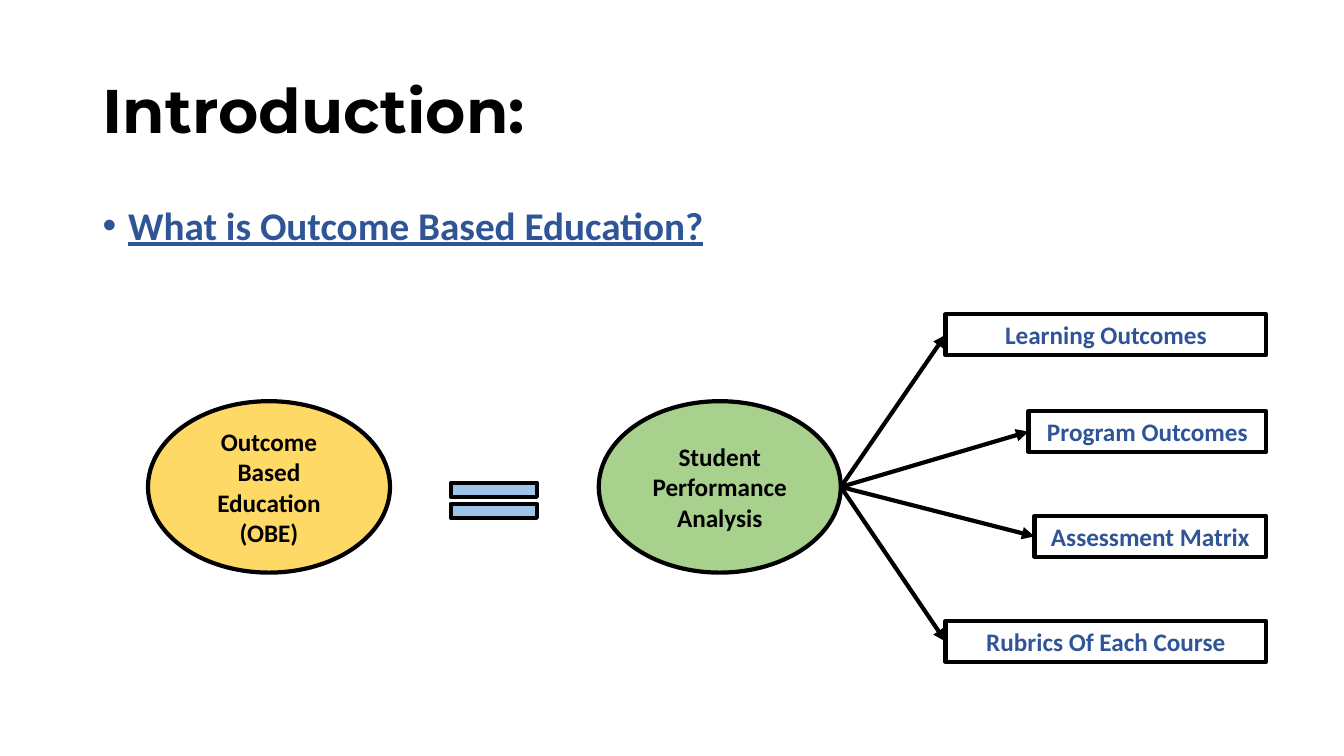
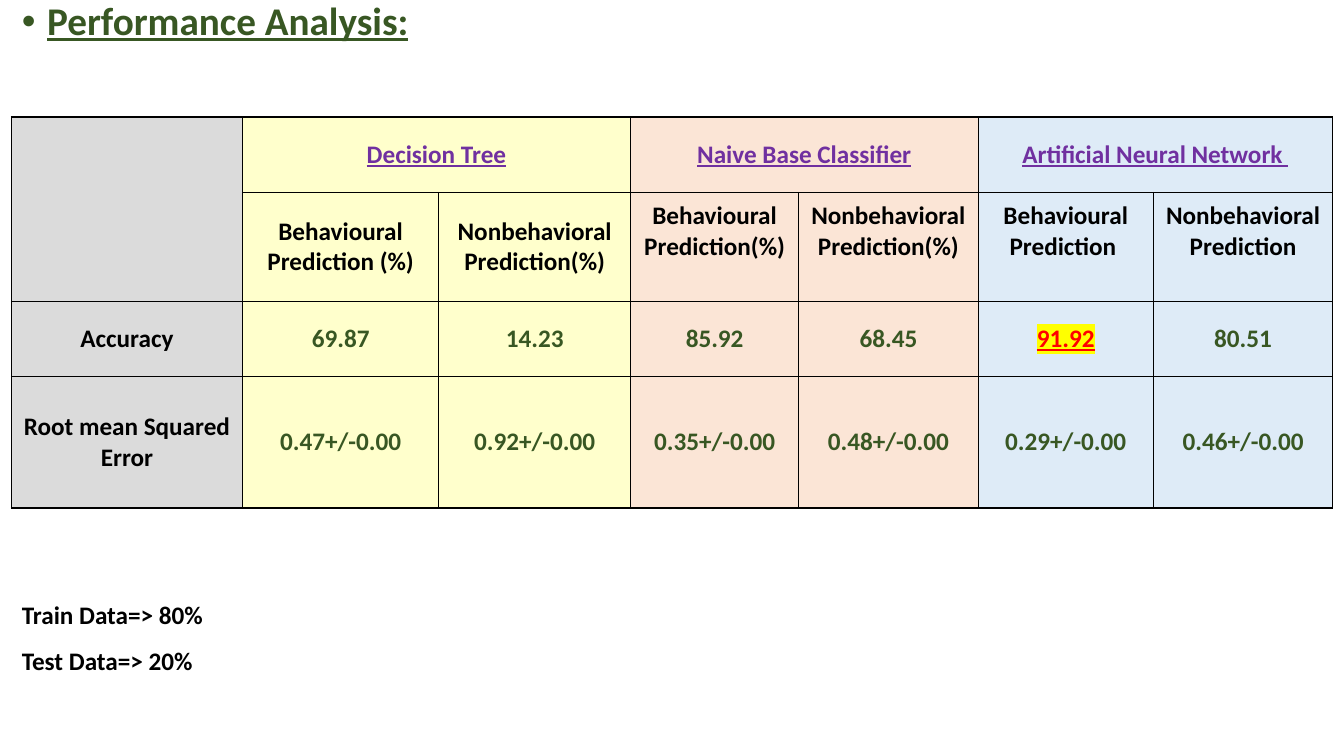
import pptx
import pptx.dml.color
import pptx.enum.shapes
import pptx.enum.text
import pptx.oxml.ns
import pptx.util
from dataclasses import dataclass
from lxml import etree

Cm = pptx.util.Cm
Pt = pptx.util.Pt
SHAPE = pptx.enum.shapes.MSO_SHAPE
ALIGN = pptx.enum.text.PP_ALIGN
ANCHOR = pptx.enum.text.MSO_ANCHOR


@dataclass(frozen=True)
class Theme:
    body_font: str = "Calibri"
    title_font: str = "Montserrat"
    title_size: int = 44
    heading_size: int = 28
    text_size: int = 18
    outline: float = 3
    border: float = 1
    black: str = "000000"
    navy: str = "2F5597"
    green: str = "385723"
    purple: str = "7030A0"
    red: str = "FF0000"
    marker: str = "FFFF00"
    amber: str = "FFD966"
    lime: str = "A9D18E"
    sky: str = "9DC3E6"
    grey: str = "DBDBDB"


THEME = Theme()

# Introduction content (lengths in cm)
TITLE = "Introduction:"
INTRO_HEADING = "What is Outcome Based Education?"
ELLIPSE_TOP, ELLIPSE_WIDTH, ELLIPSE_HEIGHT = 10.11, 6.1, 4.32
ELLIPSES = [
    ("Outcome Based Education (OBE)", 3.73, THEME.amber),
    ("Student Performance Analysis", 15.09, THEME.lime),
]
BOX_RIGHT, BOX_HEIGHT = 31.91, 1.03
OUTCOMES = [  # text, top, width
    ("Learning Outcomes", 7.92, 8.08),
    ("Program Outcomes", 10.36, 5.99),
    ("Assessment Matrix", 13, 5.84),
    ("Rubrics Of Each Course", 15.65, 8.08),
]

# Performance content
ANALYSIS_HEADING = "Performance Analysis:"
MODELS = [  # name, fill, column headings
    ("Decision Tree", "FFFFCC",
     ("Behavioural Prediction (%)", "Nonbehavioral Prediction(%)")),
    ("Naive Base Classifier", "FBE5D6",
     ("Behavioural Prediction(%)", "Nonbehavioral Prediction(%)")),
    ("Artificial Neural Network ", "DEEBF7",
     ("Behavioural Prediction ", "Nonbehavioral Prediction")),
]
MEASURES = [
    ("Accuracy", ("69.87", "14.23", "85.92", "68.45", "91.92", "80.51")),
    ("Root mean Squared Error",
     ("0.47+/-0.00", "0.92+/-0.00", "0.35+/-0.00",
      "0.48+/-0.00", "0.29+/-0.00", "0.46+/-0.00")),
]
BEST_VALUE = "91.92"
COLUMN_WIDTHS = [5.82, 4.95, 4.83, 4.24, 4.52, 4.42, 4.52]
ROW_HEIGHTS = [1.9, 2.74, 1.9, 3.31]
DATA_SPLIT = ["Train Data=> 80%", "Test Data=> 20%"]


def rgb(color):
    return pptx.dml.color.RGBColor.from_string(color)


def add_child(parent, tag, **attributes):
    return etree.SubElement(parent, pptx.oxml.ns.qn(tag), attributes)


def add_run(paragraph, text, color=THEME.black, size=THEME.text_size,
            font=THEME.body_font, underline=None):
    run = paragraph.add_run()
    run.text = text
    run.font.name = font
    run.font.size = Pt(size)
    run.font.bold = True
    run.font.underline = underline
    run.font.color.rgb = rgb(color)
    return run


def add_text_box(slide, left, top, width, height, anchor=ANCHOR.TOP):
    box = slide.shapes.add_textbox(Cm(left), Cm(top), Cm(width), Cm(height))
    box.text_frame.word_wrap = True
    box.text_frame.vertical_anchor = anchor
    return box.text_frame


def add_heading(slide, text, color, left, top, width, height):
    """Bulleted, underlined heading at the top of a body area."""
    paragraph = add_text_box(slide, left, top, width, height).paragraphs[0]
    paragraph.line_spacing = 0.9
    paragraph.space_before = Pt(10)
    properties = paragraph._p.get_or_add_pPr()
    indent = Cm(0.64)
    properties.set("marL", str(indent))
    properties.set("indent", str(-indent))
    add_child(properties, "a:buFont", typeface="Arial")
    add_child(properties, "a:buChar", char="•")
    add_run(paragraph, text, color, THEME.heading_size, underline=True)


def add_outlined(slide, kind, left, top, width, height, fill=None,
                 text=None, color=THEME.black):
    shape = slide.shapes.add_shape(kind, Cm(left), Cm(top), Cm(width), Cm(height))
    shape.shadow.inherit = False
    if fill:
        shape.fill.solid()
        shape.fill.fore_color.rgb = rgb(fill)
    else:
        shape.fill.background()
    shape.line.color.rgb = rgb(THEME.black)
    shape.line.width = Pt(THEME.outline)
    if text:
        shape.text_frame.word_wrap = True
        shape.text_frame.vertical_anchor = ANCHOR.MIDDLE
        paragraph = shape.text_frame.paragraphs[0]
        paragraph.alignment = ALIGN.CENTER
        add_run(paragraph, text, color)
    return shape


def add_arrow(slide, source, target):
    """Arrow from the right side of source to the left side of target."""
    connector = slide.shapes.add_connector(
        pptx.enum.shapes.MSO_CONNECTOR.STRAIGHT,
        source.left + source.width, source.top + source.height // 2,
        target.left, target.top + target.height // 2)
    connector.end_connect(target, 1)
    connector.line.color.rgb = rgb(THEME.black)
    connector.line.width = Pt(THEME.outline)
    add_child(connector.line._get_or_add_ln(), "a:tailEnd", type="triangle")
    add_child(connector._element.spPr, "a:effectLst")


def style_cell(cell, fill):
    properties = cell._tc.get_or_add_tcPr()
    for side in ("a:lnL", "a:lnR", "a:lnT", "a:lnB"):
        line = add_child(properties, side, w=str(Pt(THEME.border)))
        add_child(add_child(line, "a:solidFill"), "a:srgbClr", val=THEME.black)
    cell.fill.solid()
    cell.fill.fore_color.rgb = rgb(fill)
    cell.vertical_anchor = ANCHOR.MIDDLE
    cell.margin_left = cell.margin_right = Cm(0.2)


def write_cell(cell, text, color=THEME.black, underline=None):
    paragraph = cell.text_frame.paragraphs[0]
    paragraph.alignment = ALIGN.CENTER
    return add_run(paragraph, text, color, underline=underline)


def highlight(run):
    mark = etree.Element(pptx.oxml.ns.qn("a:highlight"))
    add_child(mark, "a:srgbClr", val=THEME.marker)
    run._r.rPr.find(pptx.oxml.ns.qn("a:solidFill")).addnext(mark)


def add_results_table(slide):
    table = slide.shapes.add_table(
        len(ROW_HEIGHTS), len(COLUMN_WIDTHS), Cm(0.29), Cm(2.95),
        Cm(sum(COLUMN_WIDTHS)), Cm(sum(ROW_HEIGHTS))).table
    table.first_row = table.horz_banding = False
    for column, width in zip(table.columns, COLUMN_WIDTHS):
        column.width = Cm(width)
    for row, height in zip(table.rows, ROW_HEIGHTS):
        row.height = Cm(height)

    # Fills and borders follow the column's model
    fills = [THEME.grey] + [fill for _, fill, _ in MODELS for _ in range(2)]
    for row in table.rows:
        for cell, fill in zip(row.cells, fills):
            style_cell(cell, fill)

    # Two header rows
    table.cell(0, 0).merge(table.cell(1, 0))
    for index, (name, _, headings) in enumerate(MODELS):
        first = 1 + 2 * index
        table.cell(0, first).merge(table.cell(0, first + 1))
        write_cell(table.cell(0, first), name, THEME.purple, True)
        for offset, heading in enumerate(headings):
            cell = table.cell(1, first + offset)
            write_cell(cell, heading)
            if index:  # these headings sit above the middle
                cell.margin_bottom = Cm(0.9)

    # Measures
    for row, (label, values) in enumerate(MEASURES, start=2):
        write_cell(table.cell(row, 0), label)
        for column, value in enumerate(values, start=1):
            cell = table.cell(row, column)
            if value == BEST_VALUE:
                highlight(write_cell(cell, value, THEME.red, True))
            else:
                write_cell(cell, value, THEME.green)


def build_introduction(slide):
    title = add_text_box(slide, 2.34, 1.02, 29.21, 3.68, ANCHOR.MIDDLE)
    title.paragraphs[0].line_spacing = 0.9
    add_run(title.paragraphs[0], TITLE, size=THEME.title_size, font=THEME.title_font)
    add_heading(slide, INTRO_HEADING, THEME.navy, 2.34, 5.08, 29.21, 12.09)

    ellipses = [
        add_outlined(slide, SHAPE.OVAL, left, ELLIPSE_TOP, ELLIPSE_WIDTH,
                     ELLIPSE_HEIGHT, fill, text)
        for text, left, fill in ELLIPSES
    ]
    add_outlined(slide, SHAPE.MATH_EQUAL, 10.97, 11.86, 2.95, 1.5, THEME.sky)
    boxes = [
        add_outlined(slide, SHAPE.RECTANGLE, BOX_RIGHT - width, top, width,
                     BOX_HEIGHT, text=text, color=THEME.navy)
        for text, top, width in OUTCOMES
    ]
    for box in boxes:
        add_arrow(slide, ellipses[-1], box)


def build_performance(slide):
    add_heading(slide, ANALYSIS_HEADING, THEME.green, 0.3, -0.08, 29.21, 16.97)
    add_results_table(slide)
    frame = add_text_box(slide, 0.3, 14.6, 15.49, 2.44)
    for index, text in enumerate(DATA_SPLIT):
        paragraph = frame.add_paragraph() if index else frame.paragraphs[0]
        paragraph.line_spacing = 1.5
        add_run(paragraph, text)


def main():
    presentation = pptx.Presentation()
    presentation.slide_width = Cm(33.87)
    presentation.slide_height = Cm(19.05)
    blank = presentation.slide_layouts[6]
    for build in (build_introduction, build_performance):
        build(presentation.slides.add_slide(blank))
    presentation.save("out.pptx")


if __name__ == "__main__":
    main()
